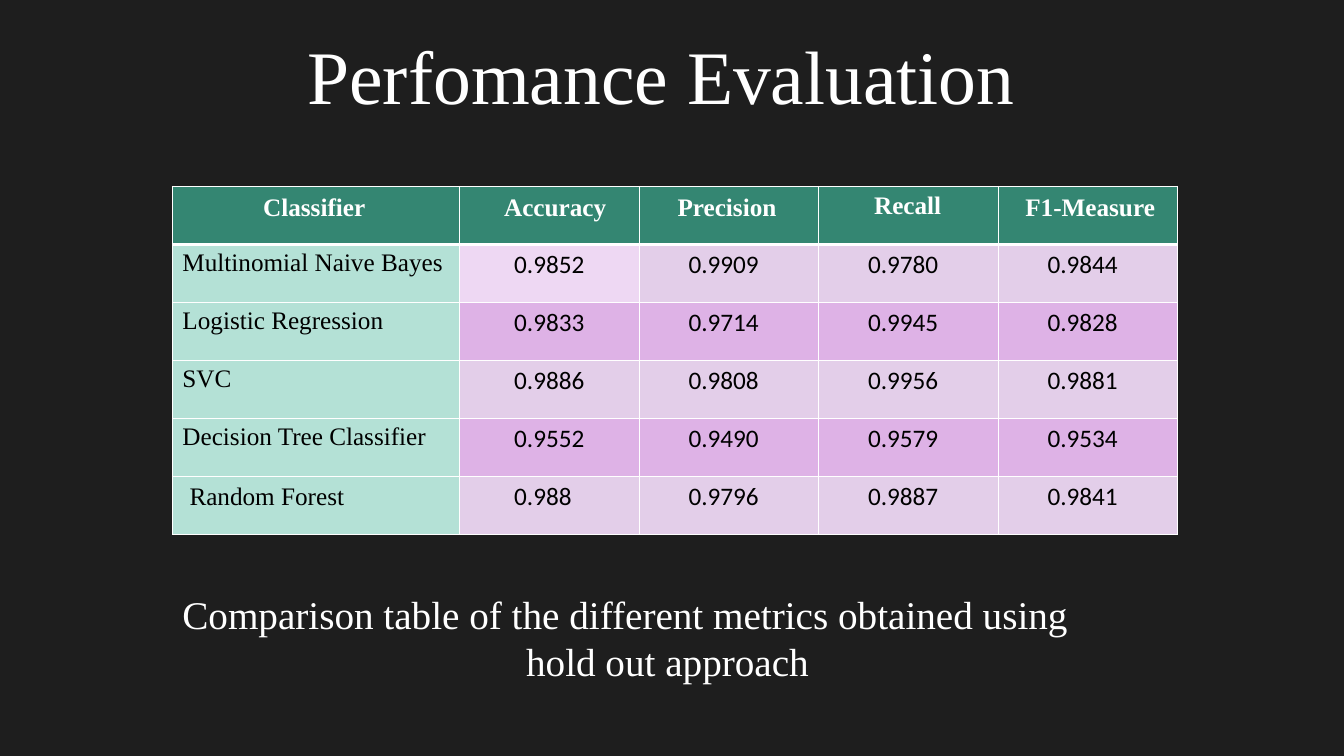
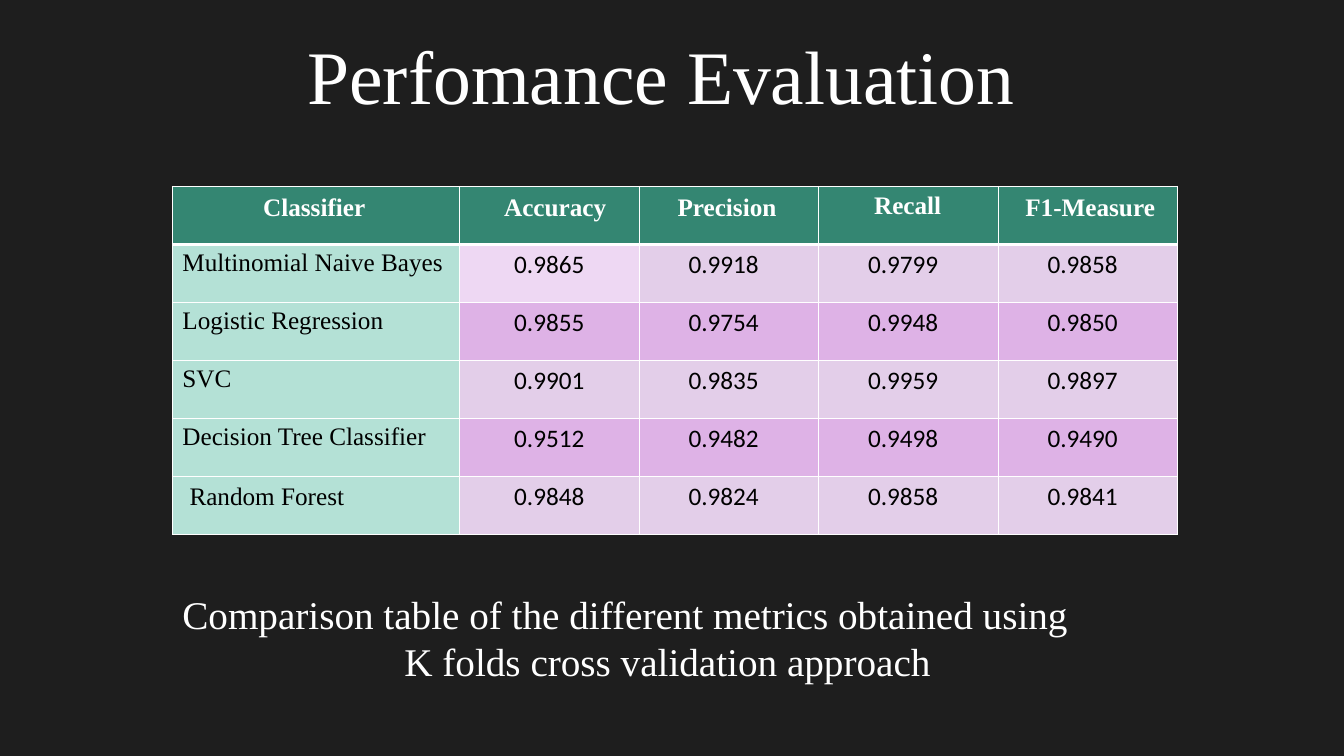
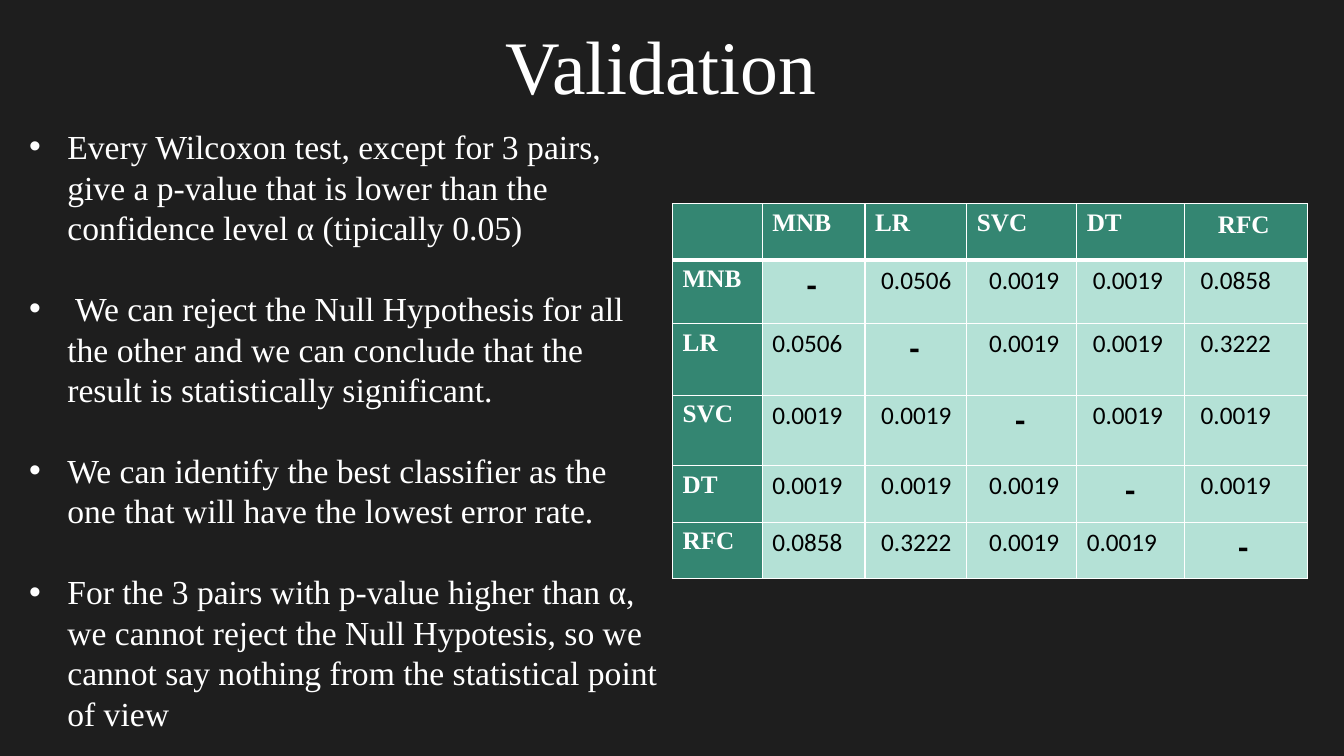
from lxml import etree
from pptx import Presentation
from pptx.dml.color import RGBColor
from pptx.enum import text as t
from pptx.oxml.ns import qn
from pptx.util import Inches, Pt

SERIF, SANS = "Times New Roman", "Calibri"
WHITE, BLACK, DARK = "FFFFFF", "000000", "1E1E1E"
GREEN, MINT = "348672", "B4E1D6"
LILAC, MAUVE, PALE = "E3CEE9", "DEB2E6", "EED8F3"

METRICS = ["Classifier", "Accuracy", "Precision", "Recall", "F1-Measure"]
MODELS = ["Multinomial Naive Bayes", "Logistic Regression", "SVC",
          "Decision Tree Classifier", "Random Forest"]
CAPTION = "Comparison table of the different metrics obtained using"
RESULTS = [
    ("hold out approach", [
        ["0.9852", "0.9909", "0.9780", "0.9844"],
        ["0.9833", "0.9714", "0.9945", "0.9828"],
        ["0.9886", "0.9808", "0.9956", "0.9881"],
        ["0.9552", "0.9490", "0.9579", "0.9534"],
        ["0.988", "0.9796", "0.9887", "0.9841"]]),
    ("K folds cross validation approach", [
        ["0.9865", "0.9918", "0.9799", "0.9858"],
        ["0.9855", "0.9754", "0.9948", "0.9850"],
        ["0.9901", "0.9835", "0.9959", "0.9897"],
        ["0.9512", "0.9482", "0.9498", "0.9490"],
        ["0.9848", "0.9824", "0.9858", "0.9841"]]),
]
POINTS = [
    "Every Wilcoxon test, except for 3 pairs, give a p-value that is lower "
    "than the confidence level α (tipically 0.05)",
    " We can reject the Null Hypothesis for all the other and we can conclude "
    "that the result is statistically significant.",
    "We can identify the best classifier as the one that will have the lowest "
    "error rate.",
    "For the 3 pairs with p-value higher than α, we cannot reject the Null "
    "Hypotesis, so we cannot say nothing from the statistical point of view",
]
PAIRS = [
    ["", "MNB", "LR", "SVC", "DT", "RFC"],
    ["MNB", "-", "0.0506", "0.0019", "0.0019", "0.0858"],
    ["LR", "0.0506", "-", "0.0019", "0.0019", "0.3222"],
    ["SVC", "0.0019", "0.0019", "-", "0.0019", "0.0019"],
    ["DT", "0.0019", "0.0019", "0.0019", "-", "0.0019"],
    ["RFC", "0.0858", "0.3222", "0.0019", "0.0019", "-"],
]

# Left insets per column, in inches
HEAD_IN = [0.9, 0.44, 0.38, 0.55, 0.27]
SCORE_IN = [0.1, 0.54, 0.49, 0.49, 0.49]
PAIR_IN = [0.1, 0.1, 0.16, 0.22, 0.16, 0.16]
DASH_IN = [0, 0.44, 0.44, 0.48, 0.48, 0.53]


def rgb(color):
    return RGBColor.from_string(color)


def style(para, size, font=SERIF, color=WHITE, bold=False):
    for run in para.runs:
        f = run.font
        f.size, f.name, f.bold = Pt(size), font, bold
        f.color.rgb = rgb(color)


def add_text(slide, box, lines, size):
    frame = slide.shapes.add_textbox(*map(Inches, box)).text_frame
    frame.word_wrap = True
    frame.text = "\n".join(lines)
    for para in frame.paragraphs:
        style(para, size)
    return frame.paragraphs


def add_slide(deck, title, box):
    slide = deck.slides.add_slide(deck.slide_layouts[6])
    fill = slide.background.fill
    fill.solid()
    fill.fore_color.rgb = rgb(DARK)
    add_text(slide, box, [title], 54)
    return slide


def add_edges(cell, row):
    """White cell borders, thick under the header row."""
    props = cell._tc.get_or_add_tcPr()
    thick = {"T": row == 1, "B": row == 0}
    for side in "LRTB":
        width = Pt(3 if thick.get(side) else 1)
        line = etree.SubElement(props, qn("a:ln" + side), w=str(width))
        solid = etree.SubElement(line, qn("a:solidFill"))
        etree.SubElement(solid, qn("a:srgbClr"), val=WHITE)


def add_table(slide, at, cols, rows, data, look):
    """look(row, col, word) gives fill, left inset, top inset and text style."""
    size = map(Inches, (*at, sum(cols), sum(rows)))
    table = slide.shapes.add_table(len(rows), len(cols), *size).table
    table.first_row = table.horz_banding = False
    for col, width in zip(table.columns, cols):
        col.width = Inches(width)
    for row, height in zip(table.rows, rows):
        row.height = Inches(height)
    for r, words in enumerate(data):
        for c, word in enumerate(words):
            cell = table.cell(r, c)
            fill, left, top, font = look(r, c, word)
            add_edges(cell, r)
            cell.fill.solid()
            cell.fill.fore_color.rgb = rgb(fill)
            cell.margin_left, cell.margin_top = Inches(left), Inches(top)
            cell.margin_right = Inches(0.05)
            cell.text = word
            style(cell.text_frame.paragraphs[0], **font)


def score_look(r, c, word):
    if r == 0:
        top = 0.05 if word == "Recall" else 0.07
        return GREEN, HEAD_IN[c], top, dict(size=18, bold=True)
    if c == 0:
        left, top = (0.17, 0.07) if r == len(MODELS) else (0.1, 0.05)
        return MINT, left, top, dict(size=18, color=BLACK)
    fill = PALE if r == c == 1 else LILAC if r % 2 else MAUVE
    return fill, SCORE_IN[c], 0.05, dict(size=18, font=SANS, color=BLACK)


def pair_look(r, c, word):
    if r == 0 or c == 0:
        left, top = (0.33, 0.07) if c == 5 else (0.1, 0.05)
        return GREEN, left, top, dict(size=18, bold=True)
    dash = r == c
    left = DASH_IN[c] if dash else PAIR_IN[c]
    if (r, c) == (5, 4):
        left = 0.1
    return MINT, left, 0.05, dict(size=24 if dash else 18, font=SANS,
                                  color=BLACK, bold=dash)


def add_bullets(slide, box, lines):
    paras = add_text(slide, box, lines, 24)
    for para in paras:
        para.line_spacing = Pt(28.9)
        para.space_after = Pt(28.9)
        props = para._p.get_or_add_pPr()
        props.set("marL", str(Inches(0.38)))
        props.set("indent", str(-Inches(0.38)))
        etree.SubElement(props, qn("a:buFont"), typeface="Arial")
        etree.SubElement(props, qn("a:buChar"), char="•")
    paras[-1].space_after = Pt(0)


def main():
    deck = Presentation()
    deck.slide_width, deck.slide_height = Inches(13.33), Inches(7.5)

    for method, scores in RESULTS:
        slide = add_slide(deck, "Perfomance Evaluation", (2.95, 0.24, 7.44, 1.01))
        lines = add_text(slide, (1.71, 5.81, 9.82, 1.04), [CAPTION, method], 28)
        lines[1].alignment = t.PP_ALIGN.CENTER
        data = [METRICS] + [[m, *s] for m, s in zip(MODELS, scores)]
        add_table(slide, (1.71, 1.85), [2.85] + [1.78] * 4, [0.575] * 6,
                  data, score_look)

    slide = add_slide(deck, "Validation", (4.92, 0.14, 3.58, 1.01))
    add_bullets(slide, (0.19, 1.2, 6.43, 6.16), POINTS)
    add_table(slide, (6.67, 2.02), [0.89, 1.02, 1.01, 1.09, 1.07, 1.22],
              [0.56, 0.63, 0.71, 0.7, 0.56, 0.56], PAIRS, pair_look)
    deck.save("out.pptx")


if __name__ == "__main__":
    main()
